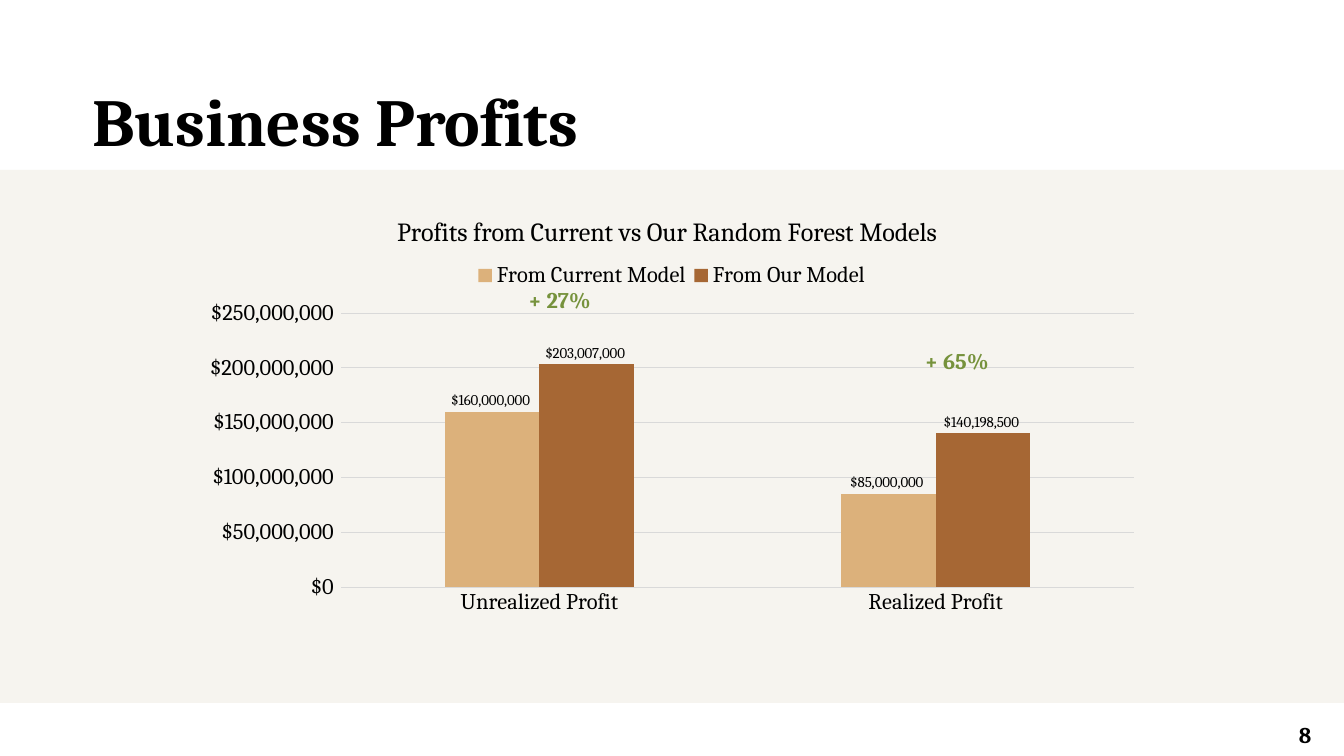
from lxml import etree
from pptx import Presentation
from pptx.chart.data import CategoryChartData
from pptx.dml.color import RGBColor
from pptx.enum import chart as charts, shapes, text
from pptx.oxml.ns import qn
from pptx.util import Inches, Pt

FONT = "Cambria"
BLACK, GREEN, CREAM, GRID = "000000", "76923C", "F6F4EF", "D9D9D9"
MONEY = '"$"#,##0_);[Red]\\("$"#,##0\\)'
CATEGORIES = ["Unrealized Profit", "Realized Profit"]
SERIES = [
    ("From Current Model", [160000000, 85000000], "DCB17B"),
    ("From Our Model", [203007000, 140198500], "A66734"),
]


def color(hex_value):
    return RGBColor.from_string(hex_value)


def style_font(font, size, hex_value=BLACK, bold=False):
    values = {"name": FONT, "size": Pt(size), "bold": bold}
    for name, value in values.items():
        setattr(font, name, value)
    font.color.rgb = color(hex_value)


def style_line(line, hex_value, width):
    line.color.rgb = color(hex_value)
    line.width = Pt(width)


def add_band(slide, left, top, width, height, hex_value):
    band = slide.shapes.add_shape(
        shapes.MSO_SHAPE.RECTANGLE,
        Inches(left), Inches(top), Inches(width), Inches(height))
    band.shadow.inherit = False
    band.fill.solid()
    band.fill.fore_color.rgb = color(hex_value)
    band.line.fill.background()


def add_text(slide, content, left, top, width, height, size, hex_value=BLACK,
             insets=(0, 0), align=text.PP_ALIGN.LEFT, spacing=None):
    box = slide.shapes.add_textbox(
        Inches(left), Inches(top), Inches(width), Inches(height))
    frame = box.text_frame
    side, edge = (Inches(inset) for inset in insets)
    values = {"word_wrap": True, "margin_left": side, "margin_right": side,
              "margin_top": edge, "margin_bottom": edge}
    for name, value in values.items():
        setattr(frame, name, value)
    paragraph = frame.paragraphs[0]
    paragraph.alignment = align
    paragraph.line_spacing = spacing
    run = paragraph.add_run()
    run.text = content
    style_font(run.font, size, hex_value, bold=True)


def set_layout(parent, after=None, inner=False, **fractions):
    """Place a chart part by fractions of the chart's width and height."""
    for old in parent.findall(qn("c:layout")):
        parent.remove(old)
    layout = etree.Element(qn("c:layout"))
    manual = etree.SubElement(layout, qn("c:manualLayout"))
    settings = {"layoutTarget": "inner"} if inner else {}
    settings.update(xMode="edge", yMode="edge", **fractions)
    for name, value in settings.items():
        etree.SubElement(manual, qn(f"c:{name}")).set("val", str(value))
    if after:
        parent.find(qn(after)).addnext(layout)
    else:
        parent.insert(0, layout)


def style_axes(chart):
    for axis in (chart.category_axis, chart.value_axis):
        axis.major_tick_mark = charts.XL_TICK_MARK.NONE
        axis.minor_tick_mark = charts.XL_TICK_MARK.NONE
        style_font(axis.tick_labels.font, 24)
    chart.category_axis.has_major_gridlines = False
    style_line(chart.category_axis.format.line, GRID, 0.75)

    value_axis = chart.value_axis
    value_axis.minimum_scale = 0
    value_axis.maximum_scale = 250000000
    value_axis.major_unit = 50000000
    value_axis.format.line.fill.background()
    style_line(value_axis.major_gridlines.format.line, GRID, 0.75)
    value_axis.tick_labels.number_format = MONEY
    value_axis.tick_labels.number_format_is_linked = False


def style_series(series, hex_value):
    series.format.fill.solid()
    series.format.fill.fore_color.rgb = color(hex_value)
    labels = series.data_labels
    values = {"show_value": True, "number_format": MONEY,
              "number_format_is_linked": False,
              "position": charts.XL_LABEL_POSITION.OUTSIDE_END}
    for name, value in values.items():
        setattr(labels, name, value)
    style_font(labels.font, 16)


def add_profit_chart(slide):
    data = CategoryChartData(number_format=MONEY)
    data.categories = CATEGORIES
    for name, values, _ in SERIES:
        data.add_series(name, values)
    chart = slide.shapes.add_chart(
        charts.XL_CHART_TYPE.COLUMN_CLUSTERED,
        Inches(2.83), Inches(2.88), Inches(14.33), Inches(6.42), data).chart
    style_font(chart.font, 24)

    # Title and legend
    chart.has_title = True
    title = chart.chart_title
    title.include_in_layout = False
    title.text_frame.text = "Profits from Current vs Our Random Forest Models"
    style_font(title.text_frame.paragraphs[0].runs[0].font, 28)
    set_layout(title._element, after="c:tx", x=0.21, y=0.04)
    chart.has_legend = True
    chart.legend.position = charts.XL_LEGEND_POSITION.TOP
    chart.legend.include_in_layout = False
    style_font(chart.legend.font, 24)
    set_layout(chart.legend._element, after="c:legendPos",
               x=0.29, y=0.15, w=0.42, h=0.08)

    # Plot
    style_axes(chart)
    plot = chart.plots[0]
    plot.gap_width = 219
    plot.overlap = 0
    plot.vary_by_categories = False
    for series, (_, _, hex_value) in zip(plot.series, SERIES):
        style_series(series, hex_value)
    plot_area = chart._chartSpace.find(f".//{qn('c:plotArea')}")
    set_layout(plot_area, inner=True, x=0.157, y=0.277, w=0.823, h=0.635)


def main():
    presentation = Presentation()
    presentation.slide_width = Inches(20)
    presentation.slide_height = Inches(11.25)
    slide = presentation.slides.add_slide(presentation.slide_layouts[6])

    # Background band and heading
    add_band(slide, -0.01, 2.53, 20.59, 7.93, CREAM)
    add_text(slide, "Business Profits", 1.37, 1.18, 17.07, 1.21, 72)

    # Chart with the gain over each pair of columns
    add_profit_chart(slide)
    for gain, left, top in (("+ 27%", 7, 4.21), ("+ 65%", 12.92, 5.12)):
        add_text(slide, gain, left, top, 1.89, 0.5, 24, GREEN,
                 insets=(0.1, 0.05), align=text.PP_ALIGN.RIGHT)

    # Page number
    add_text(slide, "8", 19.33, 10.54, 0.67, 0.46, 24, spacing=1.48)

    presentation.save("out.pptx")


if __name__ == "__main__":
    main()
